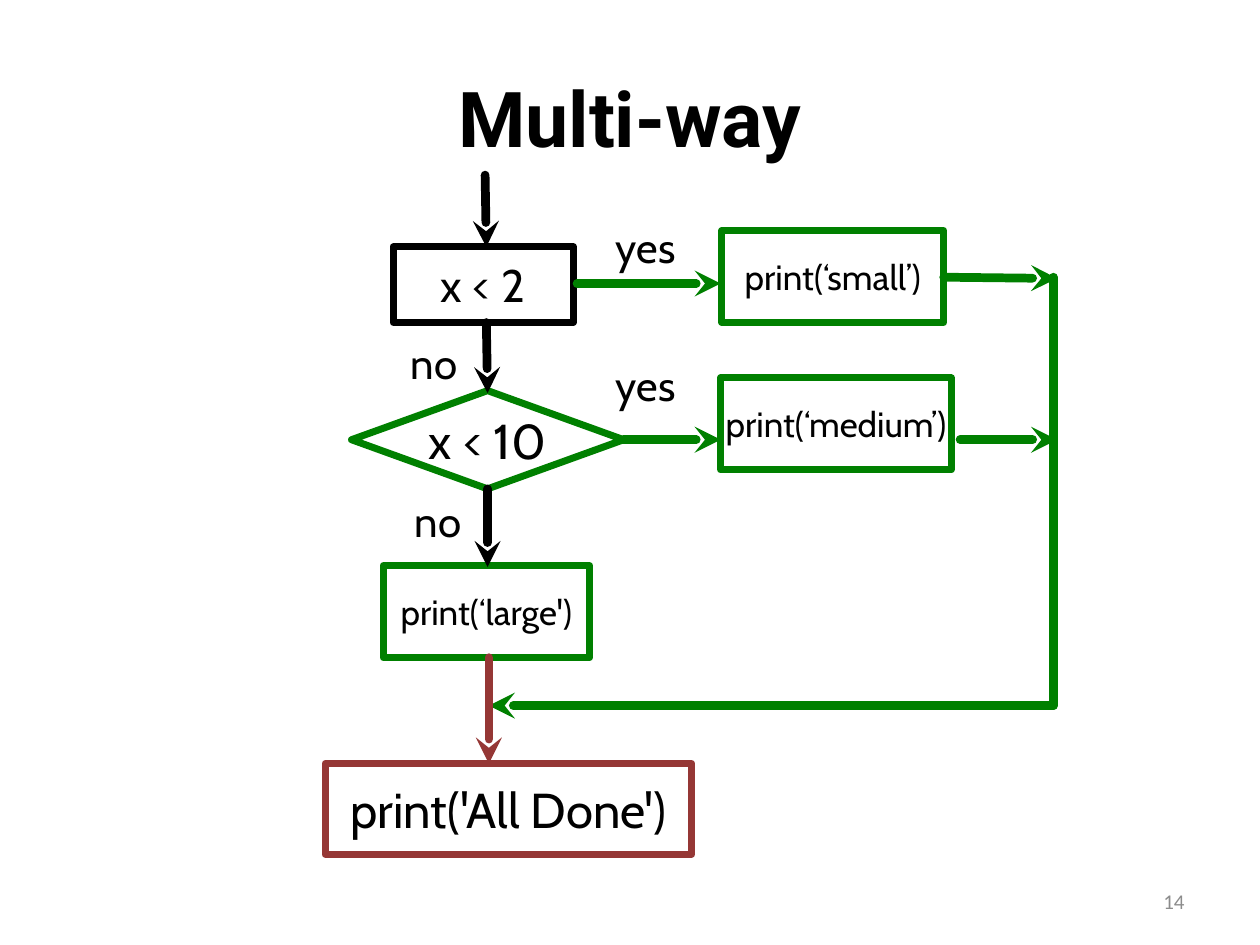
from lxml import etree
from pptx import Presentation
from pptx.dml.color import RGBColor
from pptx.enum.shapes import MSO_CONNECTOR, MSO_SHAPE
from pptx.enum.text import MSO_ANCHOR, PP_ALIGN
from pptx.oxml.ns import qn
from pptx.util import Inches, Pt

RECT, DIAMOND = MSO_SHAPE.RECTANGLE, MSO_SHAPE.DIAMOND
STRAIGHT = MSO_CONNECTOR.STRAIGHT
MIDDLE = MSO_ANCHOR.MIDDLE
CENTER, RIGHT = PP_ALIGN.CENTER, PP_ALIGN.RIGHT

BLACK = RGBColor(0x00, 0x00, 0x00)
GREEN = RGBColor(0x00, 0x80, 0x00)
RED = RGBColor(0x95, 0x37, 0x35)
GRAY = RGBColor(0x8C, 0x8C, 0x8C)

TITLE_ONLY = 5
MAIN_X = 3.87    # axis of the decision chain
MERGE_X = 8.36   # line that collects the "yes" branches
MERGE_Y = 5.6
MEDIUM_Y = 3.49

# preset, left, top, width, height, outline, text, size
STEPS = [
    (RECT, 3.12, 1.96, 1.43, 0.6, BLACK, "x < 2", 26),
    (DIAMOND, 2.79, 3.1, 2.16, 0.78, GREEN, "x < 10", 28),
    (RECT, 3.04, 4.49, 1.64, 0.73, GREEN, "print(‘large')", 20),
    (RECT, 2.58, 6.06, 2.91, 0.72, RED, "print('All Done')", 28),
    (RECT, 5.73, 1.83, 1.76, 0.73, GREEN, "print(‘small’)", 20),
    (RECT, 5.72, 3, 1.83, 0.73, GREEN, "print(‘medium’)", 20),
]

# text, left, top, width
BRANCH_LABELS = [
    ("yes", 4.82, 1.7, 0.61),
    ("yes", 4.82, 2.8, 0.61),
    ("no", 3.21, 2.62, 0.47),
    ("no", 3.24, 3.88, 0.47),
]

# start, end, colour
ARROWS = [
    ((3.85, 1.39), (3.86, 1.96), BLACK),
    ((3.86, 2.56), (MAIN_X, 3.12), BLACK),
    ((MAIN_X, 3.88), (MAIN_X, 4.5), BLACK),
    ((4.58, 2.25), (5.72, 2.25), GREEN),
    ((4.95, MEDIUM_Y), (5.72, MEDIUM_Y), GREEN),
    ((7.49, 2.2), (8.39, 2.21), GREEN),
    ((7.62, MEDIUM_Y), (8.39, MEDIUM_Y), GREEN),
    ((MERGE_X, MERGE_Y), (3.88, MERGE_Y), GREEN),
    ((3.88, 5.22), (3.88, 6.06), RED),
]


def write_text(shape, text, size, font="Cabin", color=BLACK, bold=False,
               align=CENTER, margin=0, wrap=False):
    frame = shape.text_frame
    frame.word_wrap = wrap
    frame.vertical_anchor = MIDDLE
    frame.margin_left = frame.margin_right = Inches(margin)
    frame.margin_top = frame.margin_bottom = Inches(margin / 2)
    paragraph = frame.paragraphs[0]
    paragraph.alignment = align
    run = paragraph.add_run()
    run.text = text
    run.font.name = font
    run.font.size = Pt(size)
    run.font.bold = bold
    run.font.color.rgb = color


def add_title(slide, text):
    title = slide.shapes.title
    title.left, title.top = Inches(0.5), Inches(0.3)
    title.width, title.height = Inches(9), Inches(1.25)
    write_text(title, text, 44, font="Roboto", bold=True, margin=0.1, wrap=True)


def add_label(slide, text, left, top, width, height, size, **text_format):
    label = slide.shapes.add_textbox(
        Inches(left), Inches(top), Inches(width), Inches(height))
    write_text(label, text, size, **text_format)


def add_step(slide, preset, left, top, width, height, outline, text, size):
    step = slide.shapes.add_shape(
        preset, Inches(left), Inches(top), Inches(width), Inches(height))
    step.shadow.inherit = False
    step.fill.background()
    step.line.color.rgb = outline
    step.line.width = Pt(4)
    write_text(step, text, size)


def add_flow_line(slide, start, end, color, arrow=True):
    """Draw a round-capped line, with a stealth arrowhead at its end if asked."""
    flow = slide.shapes.add_connector(
        STRAIGHT, *(Inches(value) for value in (*start, *end)))
    flow.line.color.rgb = color
    flow.line.width = Pt(5)
    properties = flow.line._get_or_add_ln()
    properties.set("cap", "rnd")
    if arrow:
        etree.SubElement(properties, qn("a:tailEnd"), type="stealth")
    etree.SubElement(flow._element.spPr, qn("a:effectLst"))


def main():
    presentation = Presentation()
    presentation.slide_width, presentation.slide_height = Inches(10), Inches(7.5)
    slide = presentation.slides.add_slide(presentation.slide_layouts[TITLE_ONLY])

    add_title(slide, "Multi-way")
    add_label(slide, "14", 7.17, 6.95, 2.33, 0.4, 12, font="Calibri",
              color=GRAY, align=RIGHT, margin=0.1, wrap=True)
    for step in STEPS:
        add_step(slide, *step)
    for text, left, top, width in BRANCH_LABELS:
        add_label(slide, text, left, top, width, 0.51, 24)
    add_flow_line(slide, (MERGE_X, 2.2), (MERGE_X, MERGE_Y), GREEN, arrow=False)
    for start, end, color in ARROWS:
        add_flow_line(slide, start, end, color)

    presentation.save("out.pptx")


if __name__ == "__main__":
    main()
